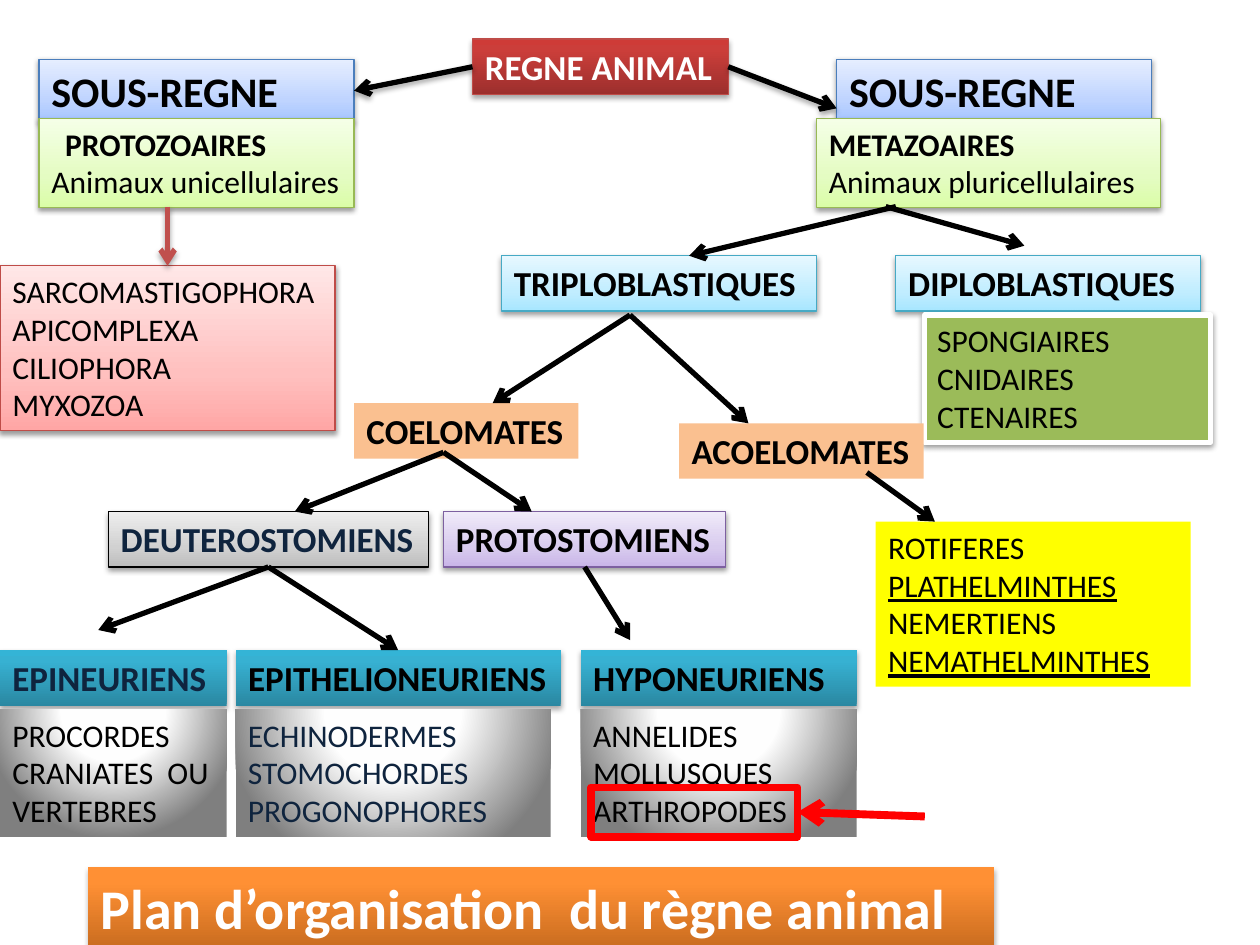
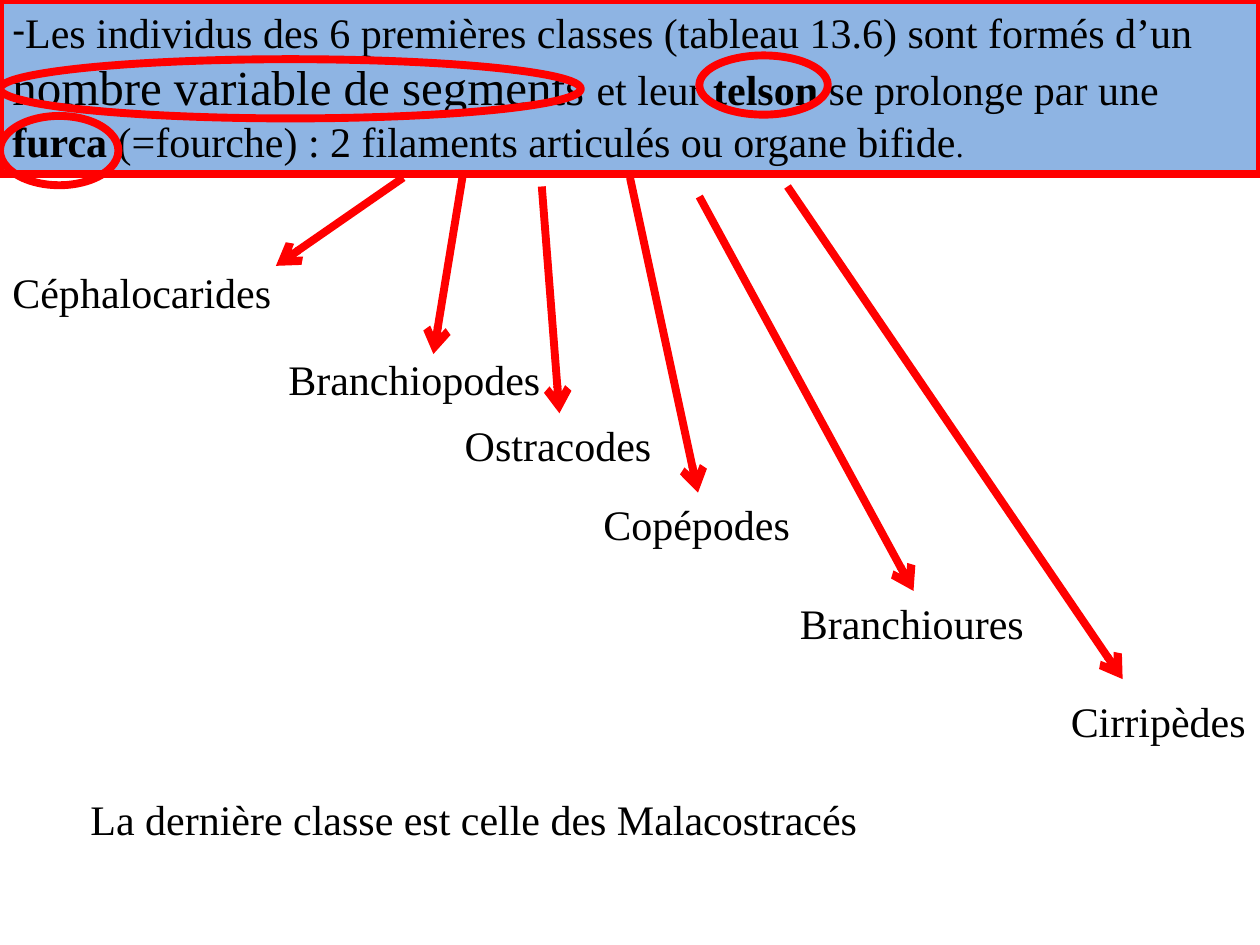
from lxml import etree
from pptx import Presentation
from pptx.dml.color import RGBColor
from pptx.enum import shapes, text
from pptx.oxml import ns
from pptx.util import Inches, Pt


class Theme:
    """Colours, type sizes and box skins."""
    sans, serif = "Calibri", "Times New Roman"
    small, mid, big, huge, title = 18, 20, 24, 28, 32
    black, white, navy = "000000", "FFFFFF", "0F243E"
    red, brick = "FF0000", "C0504D"
    thin, edge, line, bold = 0.75, 3, 3, 4.5
    # Shadow: opacity in percent, distance in points
    soft, hard = (38, 1.6), (35, 1.8)
    # Skin: fill (one colour, or stops from the bottom up), outline, width, shadow
    skins = {
        "root": ({0: "9C2F2D", 80: "CB3E3A", 100: "CE3B37"}, "BF4C48", thin, hard),
        "blue": ({0: "A4C4FF", 35: "BFD4FF", 100: "E6EEFF"}, "4B7EBC", thin, soft),
        "lime": ({0: "DAFDA7", 35: "E4FCC2", 100: "F5FFE7"}, "98B955", thin, soft),
        "pink": ({0: "FFA6A5", 35: "FFC0BF", 100: "FFE7E7"}, "BF4C48", thin, soft),
        "aqua": ({0: "A7E6FF", 35: "C1EDFF", 100: "E7F8FF"}, "46AAC5", thin, soft),
        "grey": ({0: "BDBDBD", 35: "D1D1D1", 100: "EEEEEE"}, black, thin, soft),
        "lilac": ({0: "C9B5E8", 35: "D8CBEE", 100: "F0EAF9"}, "7D60A0", thin, soft),
        "teal": ({0: "2A88A2", 80: "37B1D2", 100: "34B4D6"}, None, 0, hard),
        "orange": ({0: "CC6E20", 80: "FF9034", 100: "FF9136"}, None, 0, hard),
        "glow": ({0: "FFFFFF", 40: "FEFEFE", 100: "7F7F7F"}, None, 0, None),
        "green": ("9BBB59", white, edge, soft),
        "peach": ("FAC090", None, 0, None),
        "yellow": ("FFFF00", None, 0, None),
        "band": ("8EB4E3", red, bold, None),
        "ring": (None, red, bold, None),
        "bare": (None, None, 0, None),
    }


def rgb(code):
    return RGBColor.from_string(code)


def node(parent, tag, **attrs):
    item = etree.SubElement(parent, ns.qn("a:" + tag))
    for key, val in attrs.items():
        item.set(key, str(val))
    return item


def blend(shape, stops, round_):
    """Replace the empty fill by a gradient."""
    old = shape._element.spPr.find(ns.qn("a:noFill"))
    grad = etree.Element(ns.qn("a:gradFill"), rotWithShape="1")
    gs = node(grad, "gsLst")
    for pos, code in stops.items():
        node(node(gs, "gs", pos=pos * 1000), "srgbClr", val=code)
    if round_:
        way = node(grad, "path", path="circle")
        node(way, "fillToRect", l=50000, t=-80000, r=50000, b=180000)
    else:
        node(grad, "lin", ang=16200000, scaled=0)
    old.getparent().replace(old, grad)


def shade(props, cast):
    """Set the shadow; without a cast the effect list stays empty."""
    fx = props.find(ns.qn("a:effectLst"))
    if fx is None:
        fx = node(props, "effectLst")
    if cast:
        alpha, dist = cast
        drop = node(fx, "outerShdw", blurRad=Pt(3.1), dist=Pt(dist),
                    dir=5400000, rotWithShape=0)
        node(node(drop, "srgbClr", val=Theme.black), "alpha", val=alpha * 1000)


def write(frame, paras, size, font, color, **look):
    """Fill a frame; a paragraph is a string or a list of (text, format) runs."""
    for num, runs in enumerate(paras):
        para = frame.paragraphs[0] if num == 0 else frame.add_paragraph()
        para.alignment = text.PP_ALIGN.LEFT
        for words, extra in [(runs, {})] if isinstance(runs, str) else runs:
            run = para.add_run()
            run.text = words
            fmt = {"size": Pt(size), "name": font, **look, **extra}
            for key, val in fmt.items():
                setattr(run.font, key, val)
            run.font.color.rgb = rgb(color)


def box(slide, area, skin, paras=(), size=Theme.small, color=Theme.black,
        font=Theme.sans, wrap=True, kind=shapes.MSO_SHAPE.RECTANGLE, **look):
    shape = slide.shapes.add_shape(kind, *map(Inches, area))
    fill, edge, width, cast = Theme.skins[skin]
    if isinstance(fill, str):
        shape.fill.solid()
        shape.fill.fore_color.rgb = rgb(fill)
    else:
        shape.fill.background()
        if fill:
            blend(shape, fill, skin == "glow")
    if edge:
        shape.line.color.rgb = rgb(edge)
        shape.line.width = Pt(width)
    else:
        shape.line.fill.background()
    shape.shadow.inherit = False
    shade(shape._element.spPr, cast)
    if paras:
        frame = shape.text_frame
        fmt = {"word_wrap": wrap, "vertical_anchor": text.MSO_ANCHOR.TOP,
               "auto_size": text.MSO_AUTO_SIZE.SHAPE_TO_FIT_TEXT}
        for key, val in fmt.items():
            setattr(frame, key, val)
        write(frame, paras, size, font, color, **look)
    return shape


def head(slide, area, skin, words, **opts):
    """Bold one-line heading box."""
    opts = {"size": Theme.mid, "bold": True, **opts}
    return box(slide, area, skin, [words], **opts)


def note(slide, area, words):
    """Plain serif line of text."""
    frame = slide.shapes.add_textbox(*map(Inches, area)).text_frame
    frame.word_wrap = False
    write(frame, [words], Theme.big, Theme.serif, Theme.black)


def ring(slide, area):
    box(slide, area, "ring", kind=shapes.MSO_SHAPE.OVAL)


def arrow(slide, start, end, color=Theme.black, width=Theme.line, cast=None):
    """Each end is a point (x, y) or a joint (shape, side)."""
    ends = [start, end]
    loose = [isinstance(e[0], (int, float)) for e in ends]
    spots = [Inches(n) for e, free in zip(ends, loose)
             for n in (e if free else (0, 0))]
    link = slide.shapes.add_connector(shapes.MSO_CONNECTOR.STRAIGHT, *spots)
    for spot, free, join in zip(ends, loose, (link.begin_connect, link.end_connect)):
        if not free:
            join(*spot)
    link.line.color.rgb = rgb(color)
    link.line.width = Pt(width)
    props = link._element.spPr
    node(props.find(ns.qn("a:ln")), "tailEnd", type="arrow")
    shade(props, cast)


def kingdom(slide):
    # Root and the two sub-kingdoms
    root = head(slide, (3.75, 0.31, 2.03, 0.44), "root", "REGNE ANIMAL",
                color=Theme.white)
    left, _ = [head(slide, (x, 0.47, 2.5, 0.5), "blue", "SOUS-REGNE", size=Theme.big)
               for x in (0.31, 6.64)]
    strong = {"bold": True}
    proto = box(slide, (0.31, 0.94, 2.5, 0.71), "lime",
                [[("PROTOZOAIRES", strong)], "Animaux unicellulaires"])
    proto.text_frame.paragraphs[0]._p.get_or_add_pPr().set("marL", str(Inches(0.11)))
    box(slide, (6.48, 0.94, 2.73, 0.71), "lime",
        [[("METAZOAIRES", strong)], "Animaux pluricellulaires"])

    # Middle levels
    sarco = box(slide, (0, 2.11, 2.66, 1.31), "pink",
                ["SARCOMASTIGOPHORA", "APICOMPLEXA", "CILIOPHORA", "MYXOZOA"])
    head(slide, (3.98, 2.03, 2.5, 0.44), "aqua", "TRIPLOBLASTIQUES")
    head(slide, (7.11, 2.03, 2.42, 0.44), "aqua", "DIPLOBLASTIQUES")
    box(slide, (7.34, 2.5, 2.27, 1.01), "green",
        ["SPONGIAIRES", "CNIDAIRES", "CTENAIRES"])
    head(slide, (2.81, 3.2, 1.78, 0.44), "peach", "COELOMATES", wrap=False)
    head(slide, (5.39, 3.36, 1.94, 0.44), "peach", "ACOELOMATES", wrap=False)
    under = {"underline": True}
    box(slide, (6.95, 4.14, 2.5, 1.31), "yellow",
        ["ROTIFERES", [("PLATHELMINTHES", under)],
         "NEMERTIENS", [("NEMATHELMINTHES", under)]])
    deut = head(slide, (0.86, 4.06, 2.54, 0.44), "grey", "DEUTEROSTOMIENS",
                color=Theme.navy, wrap=False)
    prost = head(slide, (3.52, 4.06, 2.24, 0.44), "lilac", "PROTOSTOMIENS", wrap=False)

    # Bottom groups: left, widths of head and list, colours of head and list
    dark, navy = Theme.black, Theme.navy
    groups = [
        (0, 1.8, 1.8, navy, dark, "EPINEURIENS",
         ["PROCORDES", "CRANIATES  OU", "VERTEBRES"]),
        (1.87, 2.58, 2.5, dark, navy, "EPITHELIONEURIENS",
         ["ECHINODERMES", "STOMOCHORDES", "PROGONOPHORES"]),
        (4.61, 2.19, 2.19, dark, dark, "HYPONEURIENS",
         ["ANNELIDES", "MOLLUSQUES", "ARTHROPODES"]),
    ]
    heads = []
    for x, wide, list_w, ink, list_ink, name, kinds in groups:
        heads.append(head(slide, (x, 5.16, wide, 0.44), "teal", name, color=ink))
        box(slide, (x, 5.63, list_w, 1.01), "glow", kinds, color=list_ink)

    # Branches
    arrow(slide, (root, 1), (left, 3), cast=Theme.hard)
    arrow(slide, (root, 3), (6.64, 0.86), cast=Theme.hard)
    arrow(slide, (1.33, 1.64), (sarco, 0), Theme.brick, cast=Theme.hard)
    for start, end in [
        ((7.11, 1.64), (5.47, 2.03)), ((7.03, 1.64), (8.13, 1.95)),
        ((5, 2.5), (3.91, 3.2)), ((5, 2.5), (5.94, 3.36)),
        ((3.52, 3.59), (4.22, 4.06)), ((3.52, 3.59), (2.34, 4.06)),
        ((6.88, 3.75), (7.42, 4.14)), ((prost, 2), (5, 5.08)),
        ((deut, 2), (0.78, 5)), ((deut, 2), (heads[1], 0)),
    ]:
        arrow(slide, start, end)

    # Title and the marked group
    head(slide, (0.7, 6.88, 7.19, 0.62), "orange",
         "Plan d’organisation  du règne animal", size=Theme.title, color=Theme.white)
    mark = box(slide, (4.69, 6.25, 1.64, 0.39), "ring")
    arrow(slide, (7.34, 6.48), (mark, 3), Theme.red, Theme.bold)


def classes(slide):
    # Statement band
    strong = {"bold": True}
    band = box(slide, (0, 0, 10, 1.38), "band", [[
        ("Les individus des 6 premières classes (tableau 13.6) sont formés d’un ", {}),
        ("nombre variable de segments ", {"size": Pt(Theme.huge)}),
        ("et leur ", {}), ("telson ", strong), ("se prolonge par une ", {}),
        ("furca", strong),
        (" (=fourche) : 2 filaments articulés ou organe bifide", {}),
        (".", {"size": Pt(Theme.small)}),
    ]], size=Theme.big, font=Theme.serif)
    props = band.text_frame.paragraphs[0]._p.get_or_add_pPr()
    node(props, "buFont", typeface=Theme.sans)
    node(props, "buChar", char="-")

    # Classes, each with its arrow
    for words, x, y, wide, start, end in [
        ("Céphalocarides", 0, 2.07, 2.58, (3.2, 1.41), (2.19, 2.11)),
        ("Branchiopodes", 2.19, 2.76, 2.22, (3.67, 1.41), (3.44, 2.81)),
        ("Ostracodes", 3.59, 3.28, 1.7, (4.3, 1.48), (4.44, 3.28)),
        ("Copépodes", 4.69, 3.91, 1.7, (5, 1.41), (5.54, 3.91)),
        ("Branchioures", 6.25, 4.69, 2, (5.55, 1.56), (7.25, 4.69)),
        ("Cirripèdes", 8.4, 5.47, 1.6, (6.25, 1.48), (8.91, 5.39)),
    ]:
        note(slide, (x, y, wide, 0.5), words)
        arrow(slide, start, end, Theme.red, Theme.bold)
    note(slide, (0.62, 6.25, 6.34, 0.5),
         "La dernière classe est celle des Malacostracés")

    # Rings round the key words
    for area in [(0, 0.47, 4.61, 0.47), (5.55, 0.44, 1.02, 0.47),
                 (0, 0.92, 0.94, 0.55)]:
        ring(slide, area)


def main():
    deck = Presentation()
    deck.slide_width, deck.slide_height = Inches(10), Inches(7.5)
    for build in (kingdom, classes):
        build(deck.slides.add_slide(deck.slide_layouts[6]))
    deck.save("out.pptx")


if __name__ == "__main__":
    main()
